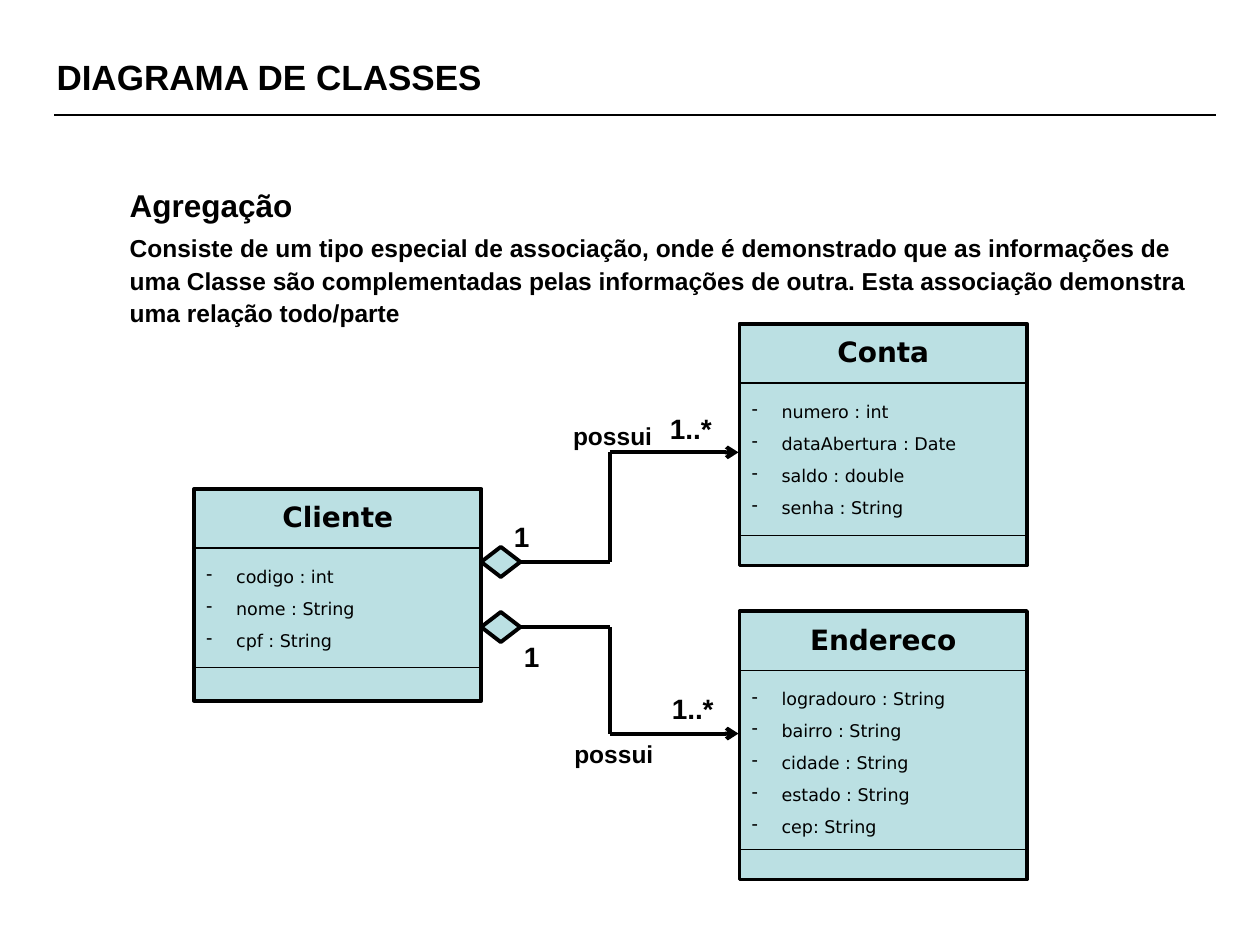
from itertools import pairwise

from lxml.etree import SubElement
from pptx import Presentation
from pptx.dml.color import RGBColor
from pptx.enum.shapes import MSO_CONNECTOR, MSO_SHAPE
from pptx.enum.text import PP_ALIGN
from pptx.oxml.ns import qn
from pptx.util import Pt

BLACK = RGBColor(0x00, 0x00, 0x00)
TEAL = RGBColor(0xBB, 0xE0, 0xE3)
SANS = "DejaVu Sans"
THIN, THICK = 0.75, 2.25
WIDE = 164.2  # width of a class box
HEAD = 33.8  # height of a class name row
EDGE = 422.6  # left edge of the classes on the right

BODY = ("Consiste de um tipo especial de associação, onde é demonstrado que as "
        "informações de uma Classe são complementadas pelas informações de outra. "
        "Esta associação demonstra uma relação todo/parte")

# name, left, top, height, top of last row from box top, fields
CLASSES = [
    ("Cliente", 110.9, 279.4, 121, 102.2,
     ["codigo : int", "nome : String", "cpf : String"]),
    ("Conta", EDGE, 185, 138.2, 121,
     ["numero : int", "dataAbertura : Date", "saldo : double", "senha : String"]),
    ("Endereco", EDGE, 349.2, 153.4, 136.1,
     ["logradouro : String", "bairro : String", "cidade : String",
      "estado : String", "cep: String"]),
]

# start and end heights of each aggregation
LINKS = [(321.1, 258.5), (358.3, 419.2)]

# text, left, top, size
LABELS = [
    ("1", 286.6, 293.5, 16),
    ("1..*", 375.7, 231.6, 16),
    ("possui", 320.4, 236.8, 14),
    ("1", 292.3, 361.9, 16),
    ("1..*", 376.8, 391.6, 16),
    ("possui", 321.1, 418.8, 14),
]


def add_dash(para):
    props = para._p.get_or_add_pPr()
    props.set("marL", str(Pt(17)))
    props.set("indent", str(-Pt(17)))
    SubElement(props, qn("a:buChar")).set("char", "-")


def add_text(frame, text, size, font="Arial", bold=True, align=PP_ALIGN.LEFT,
             before=0, pitch=1.0, dash=False):
    """Fill the empty first paragraph, or add one below the others."""
    para = frame.paragraphs[0]
    if para.runs:
        para = frame.add_paragraph()
        para.space_before = Pt(before)
    para.alignment = align
    para.line_spacing = pitch
    if dash:
        add_dash(para)
    run = para.add_run()
    run.text = text
    run.font.name = font
    run.font.size = Pt(size)
    run.font.bold = bold
    run.font.color.rgb = BLACK


def add_frame(slide, left, top, width, height):
    box = slide.shapes.add_textbox(Pt(left), Pt(top), Pt(width), Pt(height))
    box.text_frame.word_wrap = True
    return box.text_frame


def add_line(slide, start, end, weight=THIN, arrow=False):
    line = slide.shapes.add_connector(
        MSO_CONNECTOR.STRAIGHT, *(Pt(n) for n in (*start, *end)))
    line.line.color.rgb = BLACK
    line.line.width = Pt(weight)
    if arrow:
        SubElement(line.line._get_or_add_ln(), qn("a:tailEnd")).set("type", "arrow")
    SubElement(line._element.spPr, qn("a:effectLst"))


def add_shape(slide, kind, left, top, width, height):
    shape = slide.shapes.add_shape(kind, Pt(left), Pt(top), Pt(width), Pt(height))
    shape.shadow.inherit = False
    shape.fill.solid()
    shape.fill.fore_color.rgb = TEAL
    shape.line.color.rgb = BLACK
    shape.line.width = Pt(THICK)


def add_class(slide, name, left, top, height, foot, fields):
    add_shape(slide, MSO_SHAPE.RECTANGLE, left, top, WIDE, height)
    for row in (HEAD, foot):
        add_line(slide, (left, top + row), (left + WIDE, top + row))
    title = add_frame(slide, left, top + 2.8, WIDE, 26.6)
    add_text(title, name, 16, font=SANS, align=PP_ALIGN.CENTER)
    body = add_frame(slide, left, top + 40.6, 136, foot - 40.6)
    for field in fields:
        add_text(body, field, 10, font=SANS, bold=False, before=6.25, dash=True)


def add_link(slide, start, end):
    """Join the whole to its part: a diamond, then a bent line with an arrow."""
    add_shape(slide, MSO_SHAPE.DIAMOND, 275, start - 8.6, 22.4, 17.2)
    bend = 348.5
    points = [(297.4, start), (bend, start), (bend, end), (EDGE - 0.6, end)]
    for pair in pairwise(points):
        add_line(slide, *pair, weight=THICK, arrow=pair[1] == points[-1])


def main():
    deck = Presentation()
    deck.slide_width, deck.slide_height = Pt(720), Pt(540)
    slide = deck.slides.add_slide(deck.slide_layouts[6])

    add_text(add_frame(slide, 25.2, 28.4, 669, 31), "DIAGRAMA DE CLASSES", 20)
    add_line(slide, (31, 65.7), (694.8, 65.7))

    intro = add_frame(slide, 67, 103, 622, 84)
    add_text(intro, "Agregação", 18)
    add_text(intro, BODY, 14, before=3.5, pitch=1.1)

    for item in CLASSES:
        add_class(slide, *item)
    for start, end in LINKS:
        add_link(slide, start, end)
    for text, left, top, size in LABELS:
        add_text(add_frame(slide, left, top, 66, 26), text, size)

    deck.save("out.pptx")


if __name__ == "__main__":
    main()
